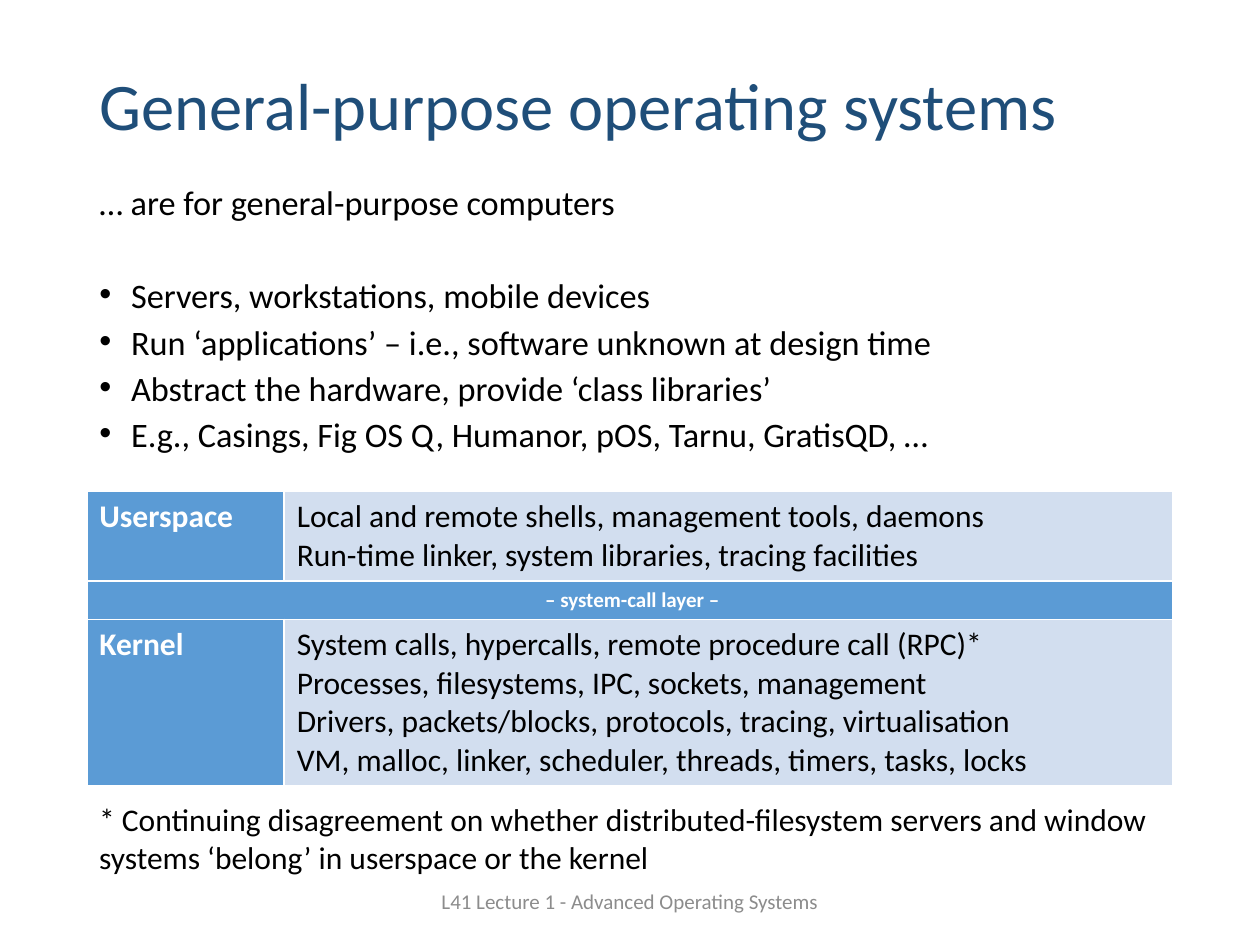
import pptx
import pptx.dml.color
import pptx.enum.text
import pptx.oxml
import pptx.oxml.ns
import pptx.util
from lxml import etree

Cm, Pt = pptx.util.Cm, pptx.util.Pt
RGB = pptx.dml.color.RGBColor
ALIGN = pptx.enum.text.PP_ALIGN
ANCHOR = pptx.enum.text.MSO_ANCHOR
FIT = pptx.enum.text.MSO_AUTO_SIZE
qn = pptx.oxml.ns.qn

NAVY = RGB(0x1F, 0x4E, 0x79)
BLUE = RGB(0x5B, 0x9B, 0xD5)
PALE = RGB(0xD2, 0xDE, 0xEF)
GREY = RGB(0x8C, 0x8C, 0x8C)
BLACK = RGB(0, 0, 0)
WHITE = RGB(255, 255, 255)

LEFT, WIDTH = 1.75, 21.9


def write(p, text, size=18, color=BLACK, bold=False, align=ALIGN.LEFT,
          spacing=None, before=None):
    """Put formatted text into a paragraph."""
    r = p.add_run()
    r.text = text
    r.font.name, r.font.size, r.font.bold = "Calibri", Pt(size), bold
    r.font.color.rgb = color
    p.alignment = align
    if spacing is not None:
        p.line_spacing = spacing
    if before is not None:
        p.space_before = Pt(before)


def set_bullet(p, char=None, indent=0.0):
    pPr = p._p.get_or_add_pPr()
    pPr.set("marL", str(Cm(indent)))
    pPr.set("indent", str(-Cm(indent)))
    if char:
        etree.SubElement(pPr, qn("a:buFont")).set("typeface", "Arial")
        etree.SubElement(pPr, qn("a:buChar")).set("char", char)
    else:
        etree.SubElement(pPr, qn("a:buNone"))


def set_borders(cell, color=WHITE, width=1):
    tcPr = cell._tc.get_or_add_tcPr()
    for side in ("lnL", "lnR", "lnT", "lnB"):
        ln = etree.SubElement(tcPr, qn("a:" + side), w=str(Pt(width)))
        fill = etree.SubElement(ln, qn("a:solidFill"))
        etree.SubElement(fill, qn("a:srgbClr"), val=str(color))


class Deck:
    def __init__(self, width, height):
        self.prs = pptx.Presentation()
        self.prs.slide_width, self.prs.slide_height = Cm(width), Cm(height)
        self.s = self.prs.slides.add_slide(self.prs.slide_layouts[1])

    def place(self, sp, left, top, width, height, anchor):
        sp.left, sp.top, sp.width, sp.height = map(Cm, (left, top, width, height))
        tf = sp.text_frame
        tf.word_wrap, tf.auto_size, tf.vertical_anchor = True, FIT.NONE, anchor
        return tf

    def title(self, text, *box):
        tf = self.place(self.s.shapes.title, *box, ANCHOR.MIDDLE)
        write(tf.paragraphs[0], text, size=38, color=NAVY, spacing=0.9)

    def body(self, lead, items, *box):
        tf = self.place(self.s.placeholders[1], *box, ANCHOR.TOP)
        style = dict(size=19.6, spacing=0.7)
        write(tf.paragraphs[0], lead, before=10, **style)
        set_bullet(tf.paragraphs[0])
        for i, item in enumerate(items):
            p = tf.add_paragraph()
            write(p, item, before=10 if i else 36.7, **style)
            set_bullet(p, "•", 0.64)

    def text(self, text, *box, anchor=ANCHOR.TOP, **fmt):
        sp = self.s.shapes.add_textbox(0, 0, 0, 0)
        write(self.place(sp, *box, anchor).paragraphs[0], text, **fmt)

    def cell(self, cell, lines, fill, **fmt):
        set_borders(cell)
        cell.fill.solid()
        cell.fill.fore_color.rgb = fill
        tf = cell.text_frame
        for i, line in enumerate(lines):
            write(tf.add_paragraph() if i else tf.paragraphs[0], line, **fmt)

    def table(self, rows, left, top, widths, heights):
        frame = self.s.shapes.add_table(
            len(rows), len(widths), Cm(left), Cm(top),
            Cm(sum(widths)), Cm(sum(heights)))
        tbl = frame.table
        for col, w in zip(tbl.columns, widths):
            col.width = Cm(w)
        for i, (head, lines) in enumerate(rows):
            tbl.rows[i].height = Cm(heights[i])
            first, second = tbl.cell(i, 0), tbl.cell(i, 1)
            if lines:
                self.cell(first, [head], BLUE, color=WHITE, bold=True)
                self.cell(second, lines, PALE)
            else:  # a row without details is a full-width divider
                first.merge(second)
                self.cell(first, [head], BLUE, size=12, color=WHITE,
                          bold=True, align=ALIGN.CENTER)
                set_borders(second)


deck = Deck(25.4, 19.05)

# Heading and list
deck.title("General-purpose operating systems", LEFT, 0.64, WIDTH, 3.12)
deck.body("… are for general-purpose computers", [
    "Servers, workstations, mobile devices",
    "Run ‘applications’ – i.e., software unknown at design time",
    "Abstract the hardware, provide ‘class libraries’",
    "E.g., Casings, Fig OS Q, Humanor, pOS, Tarnu, GratisQD, …",
], LEFT, 3.76, WIDTH, 5.77)

# Footer
deck.text("L41 Lecture 1 - Advanced Operating Systems", 8.4, 17.65, 8.6, 1.02,
          anchor=ANCHOR.MIDDLE, size=12, color=GREY, align=ALIGN.CENTER)

# Layers of the system
deck.table([
    ("Userspace", ["Local and remote shells, management tools, daemons",
                   "Run-time linker, system libraries, tracing facilities"]),
    (" – system-call layer –", []),
    ("Kernel", ["System calls, hypercalls, remote procedure call (RPC)*",
                "Processes, filesystems, IPC, sockets, management",
                "Drivers, packets/blocks, protocols, tracing, virtualisation",
                "VM, malloc, linker, scheduler, threads, timers, tasks, locks"]),
], LEFT, 9.91, widths=(3.98, 17.92), heights=(1.79, 0.77, 3.33))

# Footnote
deck.text("* Continuing disagreement on whether distributed-filesystem servers "
          "and window systems ‘belong’ in userspace or the kernel",
          LEFT, 16, WIDTH, 1.8)

deck.prs.save("out.pptx")
